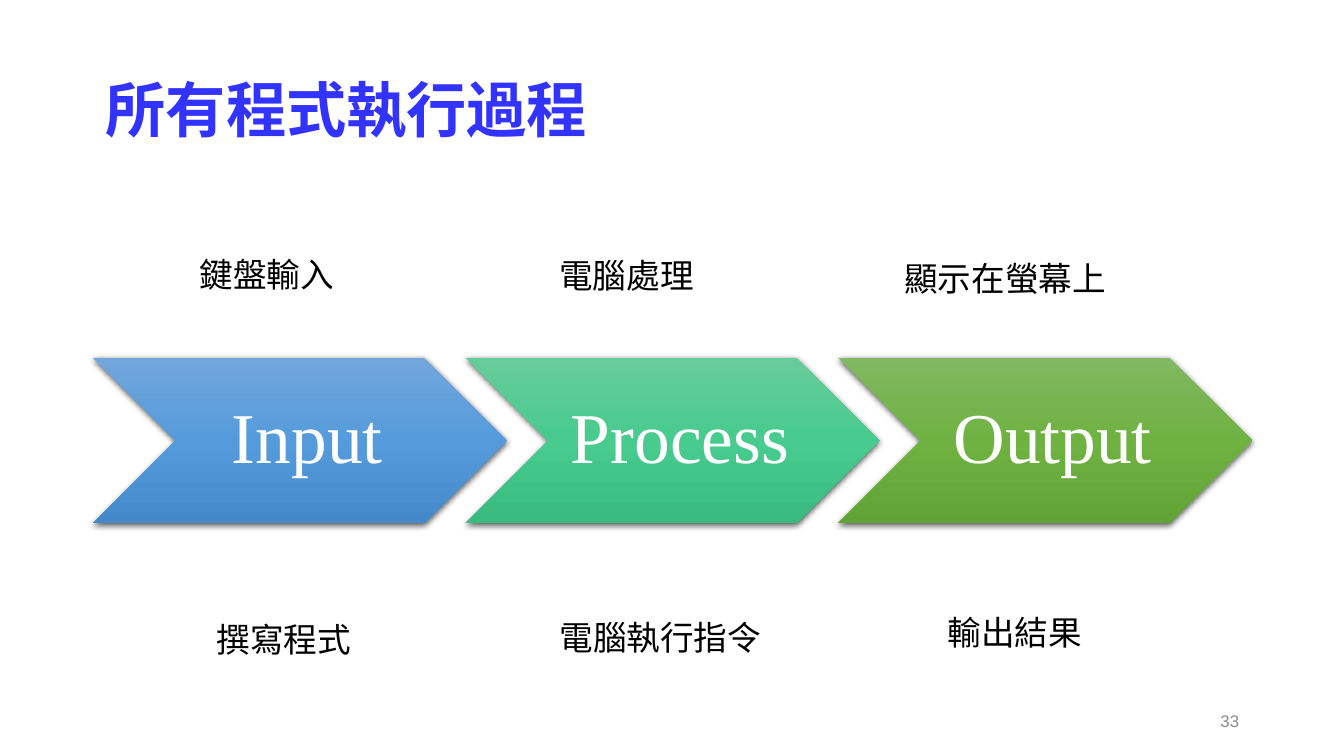
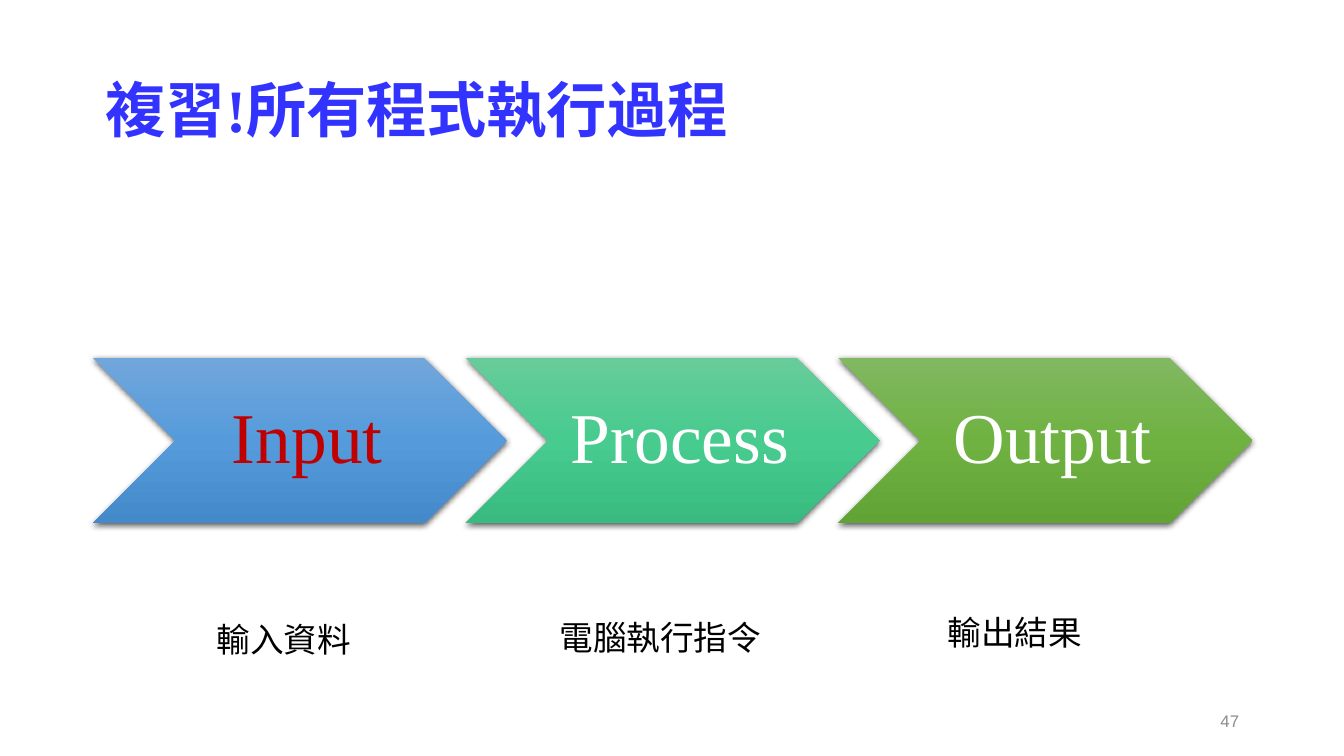
from copy import deepcopy
from dataclasses import dataclass

from pptx import Presentation
from pptx.dml.color import RGBColor
from pptx.enum.text import MSO_ANCHOR, PP_ALIGN
from pptx.enum.shapes import MSO_SHAPE
from pptx.oxml.ns import qn
from pptx.oxml.xmlchemy import OxmlElement
from pptx.slide import Slide
from pptx.text.text import TextFrame
from pptx.util import Inches, Pt

SLIDE_W, SLIDE_H = 13.33, 7.5
MARGIN = 0.92
CONTENT_W = 11.5
STAGE_W = CONTENT_W / 2.8
STAGE_H = 0.4 * STAGE_W
STAGE_PITCH = 0.9 * STAGE_W
STAGE_TOP = 3.55
CAPTION_CHAR_W, CAPTION_H = 0.335, 0.5

BLUE, WHITE, RED, GREY, BLACK = "3333FF", "FFFFFF", "C00000", "8C8C8C", "000000"
SERIF, SANS, CJK = "Times New Roman", "Arial", "Noto Sans CJK SC"
HEADER_INSETS = (0.13, 0.07, 0.13, 0.07)
STAGE_INSETS = (0.22, 0.07, 0.07, 0.07)
CAPTION_INSETS = (0.1, 0.05, 0.1, 0.05)


@dataclass(frozen=True)
class Style:
    size: float
    font: str
    color: str
    bold: bool = False
    align: PP_ALIGN = PP_ALIGN.LEFT
    spacing: float = 1.0


@dataclass(frozen=True)
class Stage:
    label: str
    gradient: tuple[str, str, str]


@dataclass(frozen=True)
class Caption:
    text: str
    left: float
    top: float


@dataclass(frozen=True)
class Page:
    title: str
    number: str
    captions: tuple[Caption, ...]
    highlight: str = ""


TITLE = Style(43, SERIF, BLUE, bold=True, spacing=0.9)
NUMBER = Style(12, SANS, GREY, align=PP_ALIGN.RIGHT)
CAPTION = Style(24, CJK, BLACK)

STAGES = (
    Stage("Input", ("71A6DB", "559BDB", "448ACA")),
    Stage("Process", ("67CC9A", "47CB8E", "39BB7F")),
    Stage("Output", ("81B861", "6FB242", "62A336")),
)

SHARED_CAPTIONS = (
    Caption("電腦執行指令", 5.45, 6.07),
    Caption("輸出結果", 9.3, 6.02),
)

PAGES = (
    Page("所有程式執行過程", "33", (
        Caption("鍵盤輸入", 1.88, 2.47),
        Caption("電腦處理", 5.45, 2.48),
        Caption("顯示在螢幕上", 8.87, 2.51),
        Caption("撰寫程式", 2.05, 6.09),
        *SHARED_CAPTIONS,
    )),
    Page("複習!所有程式執行過程", "47", (
        Caption("輸入資料", 2.05, 6.09),
        *SHARED_CAPTIONS,
    ), highlight="Input"),
)


def rgb(code: str) -> RGBColor:
    return RGBColor.from_string(code)


def write(frame: TextFrame, text: str, style: Style,
          insets: tuple[float, float, float, float],
          anchor: MSO_ANCHOR = MSO_ANCHOR.MIDDLE, wrap: bool = True) -> None:
    frame.margin_left, frame.margin_top, frame.margin_right, frame.margin_bottom = map(Inches, insets)
    frame.vertical_anchor = anchor
    frame.word_wrap = wrap
    paragraph = frame.paragraphs[0]
    paragraph.alignment = style.align
    paragraph.line_spacing = style.spacing
    paragraph.text = text
    font = paragraph.font
    font.size = Pt(style.size)
    font.name = style.font
    font.bold = style.bold
    font.color.rgb = rgb(style.color)
    east_asian = OxmlElement("a:ea")
    east_asian.set("typeface", CJK)
    font._element.find(qn("a:latin")).addnext(east_asian)


def add_text(slide: Slide, left: float, top: float, width: float, height: float) -> TextFrame:
    return slide.shapes.add_textbox(*map(Inches, (left, top, width, height))).text_frame


def add_stage(slide: Slide, column: int, stage: Stage, color: str) -> None:
    left = MARGIN + column * STAGE_PITCH
    chevron = slide.shapes.add_shape(
        MSO_SHAPE.CHEVRON, *map(Inches, (left, STAGE_TOP, STAGE_W, STAGE_H)))
    chevron.line.fill.background()
    chevron.fill.gradient()
    chevron.fill.gradient_angle = 270
    properties = chevron._element.spPr
    stop_list = properties.find(".//" + qn("a:gsLst"))
    stop_list.append(deepcopy(stop_list[0]))
    for index, (stop, shade) in enumerate(zip(chevron.fill.gradient_stops, stage.gradient)):
        stop.position = index / 2
        stop.color.rgb = rgb(shade)

    chevron.shadow.inherit = False
    outer = OxmlElement("a:outerShdw")
    for key, value in (("blurRad", Pt(4.5)), ("dist", Pt(1.5)),
                       ("dir", 90 * 60000), ("algn", "ctr"), ("rotWithShape", 0)):
        outer.set(key, str(int(value)) if key != "algn" else value)
    shade = OxmlElement("a:srgbClr")
    shade.set("val", BLACK)
    alpha = OxmlElement("a:alpha")
    alpha.set("val", "63000")
    shade.append(alpha)
    outer.append(shade)
    properties.find(qn("a:effectLst")).append(outer)

    label = Style(51, SERIF, color, align=PP_ALIGN.CENTER, spacing=0.9)
    write(chevron.text_frame, stage.label, label, STAGE_INSETS, wrap=False)


def add_caption(slide: Slide, caption: Caption) -> None:
    width = len(caption.text) * CAPTION_CHAR_W + 2 * CAPTION_INSETS[0]
    frame = add_text(slide, caption.left, caption.top, width, CAPTION_H)
    write(frame, caption.text, CAPTION, CAPTION_INSETS, MSO_ANCHOR.TOP, wrap=False)


def add_page(deck: Presentation, page: Page) -> None:
    slide = deck.slides.add_slide(deck.slide_layouts[6])
    write(add_text(slide, MARGIN, 0.4, CONTENT_W, 1.45), page.title, TITLE, HEADER_INSETS)
    write(add_text(slide, MARGIN + CONTENT_W - 3, 6.95, 3, 0.4), page.number, NUMBER, HEADER_INSETS)
    for column, stage in enumerate(STAGES):
        add_stage(slide, column, stage, RED if stage.label == page.highlight else WHITE)
    for caption in page.captions:
        add_caption(slide, caption)


def main() -> None:
    deck = Presentation()
    deck.slide_width, deck.slide_height = Inches(SLIDE_W), Inches(SLIDE_H)
    for page in PAGES:
        add_page(deck, page)
    deck.save("out.pptx")


if __name__ == "__main__":
    main()
